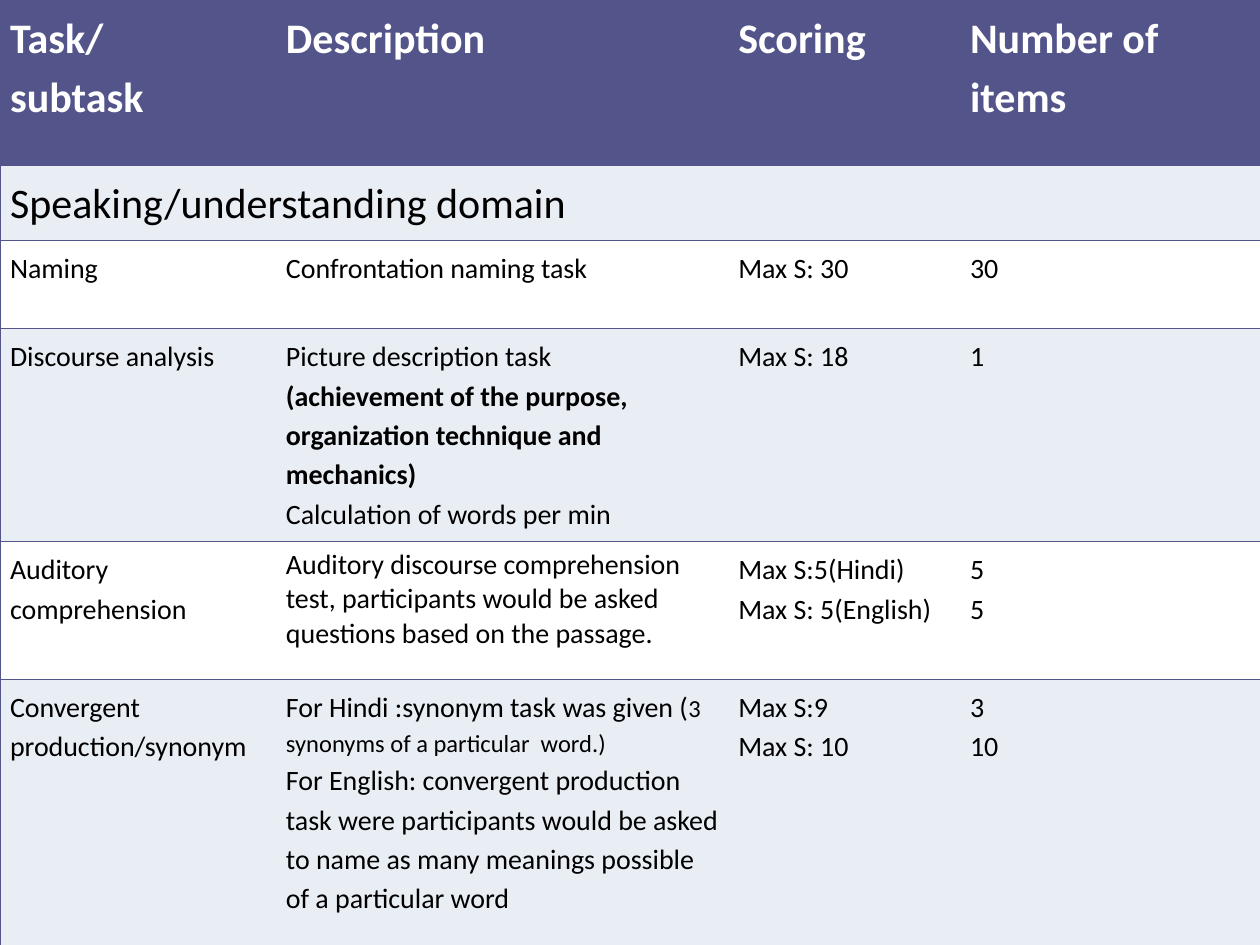
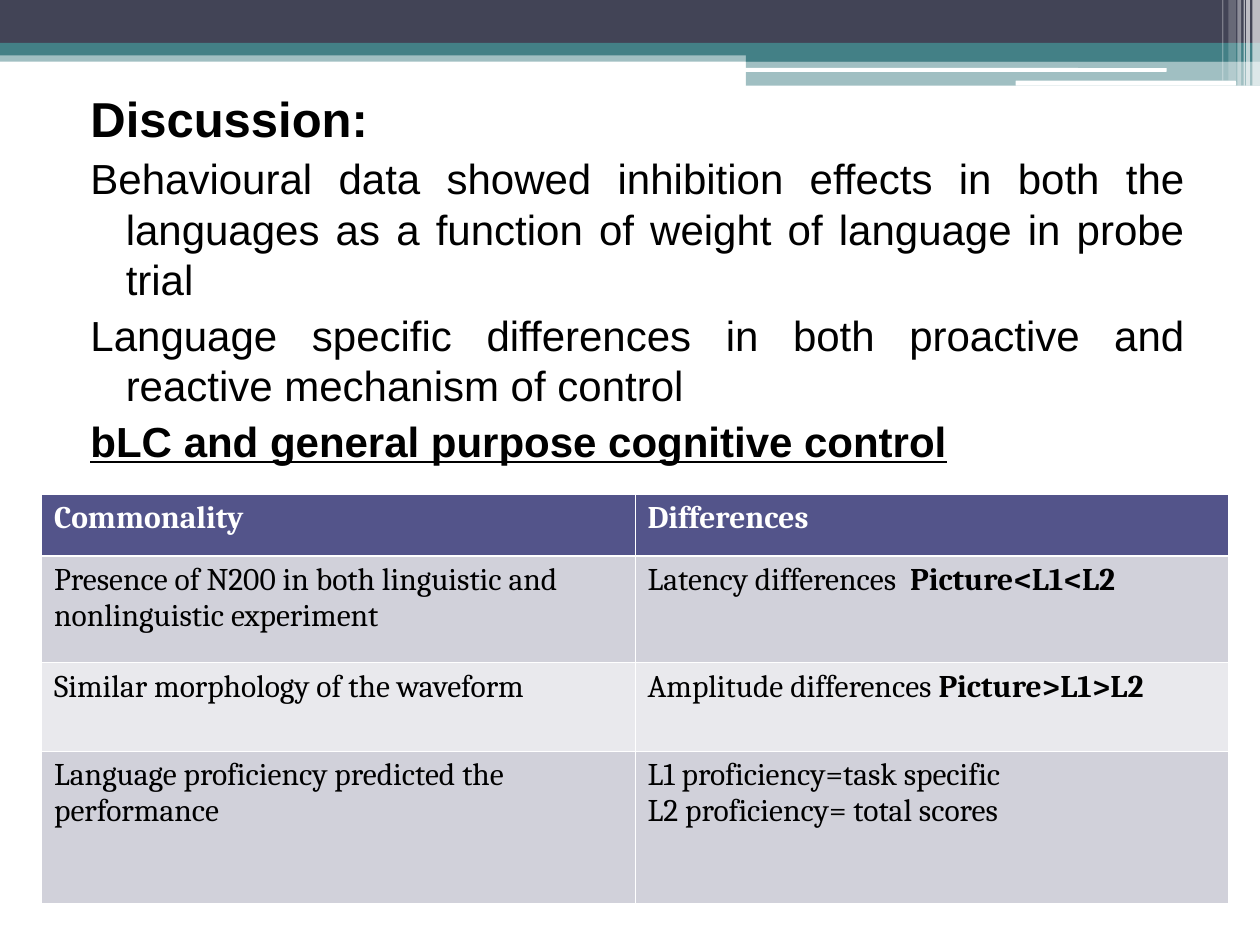
from lxml import etree
from pptx import Presentation
from pptx.dml.color import RGBColor
from pptx.enum.shapes import MSO_SHAPE
from pptx.enum.text import PP_ALIGN
from pptx.oxml.ns import qn
from pptx.util import Inches, Pt

INDIGO, SLATE, TEAL = "53548A", "424456", "438086"
WHITE, BLACK = "FFFFFF", "000000"
PALE_BLUE, GREY, PALE_GREY = "E9EDF4", "D1D1DA", "E9E9ED"
THIN, THICK = 0.45, 1.47
BOLD = {"bold": True}

# Each cell is a list of paragraphs; a paragraph is text or a list of
# (text, font changes) runs.
TASK_ROWS = [
    [["Task/", "subtask"], ["Description"], ["Scoring"], ["Number of items"]],
    [["Speaking/understanding domain"], [], [], []],
    [["Naming"], ["Confrontation naming task"], ["Max S: 30"], ["30"]],
    [["Discourse analysis"],
     ["Picture description task",
      [("(achievement of the purpose, organization technique and mechanics)", BOLD)],
      "Calculation of words per min"],
     ["Max S: 18"], ["1"]],
    [["Auditory comprehension"],
     ["Auditory discourse comprehension test, participants would be asked "
      "questions based on the passage."],
     ["Max S:5(Hindi)", "Max S: 5(English)"], ["5", "5"]],
    [["Convergent production/synonym"],
     [[("For Hindi :synonym task was given (", {}),
       ("3 synonyms of a particular  word.)", {"size": Pt(14)})],
      "For English: convergent production task were participants would be "
      "asked to name as many meanings possible of a particular word"],
     ["Max S:9", "Max S: 10"], ["3", "10"]],
]
COMPARISON_ROWS = [
    [["Commonality"], ["Differences"]],
    [["Presence of N200 in both linguistic and nonlinguistic experiment"],
     [[("Latency differences  ", {}), ("Picture<L1<L2", BOLD)]]],
    [["Similar morphology of the waveform"],
     [[("Amplitude differences ", {}), ("Picture>L1>L2", BOLD)]]],
    [["Language proficiency predicted the performance"],
     ["L1 proficiency=task specific", "L2 proficiency= total scores"]],
]
DISCUSSION = [
    ("Discussion:", 28, True, False),
    ("Behavioural data showed inhibition effects in both the languages as a "
     "function of weight of language in probe trial", 24, False, False),
    ("Language specific differences in both proactive and reactive mechanism "
     "of control", 24, False, False),
    ("bLC and general purpose cognitive control", 24, True, True),
]


def rgb(color):
    return RGBColor.from_string(color)


def set_font(font, name, size, color, bold=False):
    font.name, font.size, font.bold = name, Pt(size), bold
    font.color.rgb = rgb(color)


def add_block(slide, box, color, opacity=100, kind=MSO_SHAPE.RECTANGLE):
    shape = slide.shapes.add_shape(kind, *map(Inches, box))
    shape.shadow.inherit = False
    shape.line.fill.background()
    shape.fill.solid()
    shape.fill.fore_color.rgb = rgb(color)
    if opacity < 100:
        color_element = shape._element.spPr.find(f".//{qn('a:srgbClr')}")
        etree.SubElement(color_element, qn("a:alpha"), val=str(opacity * 1000))


def add_top_band(slide, width):
    add_block(slide, (0, 0.4, width, 0.09), TEAL, 50)
    add_block(slide, (0, 0, width, 0.34), SLATE)
    add_block(slide, (0, 0.34, width, 0.1), TEAL)
    tab_width = 4.08
    add_block(slide, (width - tab_width, 0.39, tab_width, 0.1), TEAL)
    add_block(slide, (width - tab_width, 0.48, tab_width, 0.2), TEAL, 50)
    for box in ((width - 4.09, 0.54, 3.35, 0.03), (width - 1.94, 0.64, 1.75, 0.04)):
        add_block(slide, box, WHITE, kind=MSO_SHAPE.ROUNDED_RECTANGLE)
    stripes = [(0.06, 0.06, 0.68, 65), (0.11, 0.03, 0.68, 65), (0.13, 0.01, 0.68, 60),
               (0.18, 0.03, 0.68, 40), (0.25, 0.06, 0.64, 20), (0.3, 0.01, 0.64, 30)]
    for from_right, stripe_width, height, opacity in stripes:
        add_block(slide, (width - from_right, 0, stripe_width, height), WHITE, opacity)


def add_banded_slide(presentation):
    slide = presentation.slides.add_slide(presentation.slide_layouts[6])
    add_top_band(slide, presentation.slide_width.inches)
    return slide


def set_borders(cell, color, widths):
    """Draw left, right, top and bottom borders; a width of 0 hides one."""
    properties = cell._tc.get_or_add_tcPr()
    for side, width in zip("LRTB", widths):
        line = etree.SubElement(properties, qn(f"a:ln{side}"), w=str(Pt(width)))
        if width:
            fill = etree.SubElement(line, qn("a:solidFill"))
            etree.SubElement(fill, qn("a:srgbClr"), val=color)
        else:
            etree.SubElement(line, qn("a:noFill"))


def fill_cell(cell, paragraphs, font, fill, side_inset, line_spacing):
    cell.fill.solid()
    cell.fill.fore_color.rgb = rgb(fill)
    cell.margin_left = cell.margin_right = Inches(side_inset)
    cell.margin_top = cell.margin_bottom = Inches(0.05)
    frame = cell.text_frame
    for index, content in enumerate(paragraphs):
        paragraph = frame.add_paragraph() if index else frame.paragraphs[0]
        paragraph.line_spacing = line_spacing
        set_font(paragraph.font, *font)
        runs = [(content, {})] if isinstance(content, str) else content
        for text, changes in runs:
            run = paragraph.add_run()
            run.text = text
            set_font(run.font, *font)
            for attribute, value in changes.items():
                setattr(run.font, attribute, value)


def add_grid(slide, left, top, column_widths, row_heights):
    frame = slide.shapes.add_table(
        len(row_heights), len(column_widths), Inches(left), Inches(top),
        Inches(sum(column_widths)), Inches(sum(row_heights)))
    table = frame.table
    for column, width in zip(table.columns, column_widths):
        column.width = Inches(width)
    for row, height in zip(table.rows, row_heights):
        row.height = Inches(height)
    return table


def add_task_table(slide, left, top):
    table = add_grid(slide, left, top, [2.19, 3.59, 1.84, 2.38],
                     [1.31, 0.6, 0.7, 1.69, 1.09, 2.11])
    last_column = len(table.columns) - 1
    for r, row in enumerate(TASK_ROWS):
        header = r == 0
        fill = INDIGO if header else PALE_BLUE if r % 2 else WHITE
        font = ("Calibri", 24 if r < 2 else 16, WHITE if header else BLACK, header)
        for c, paragraphs in enumerate(row):
            cell = table.cell(r, c)
            set_borders(cell, INDIGO, (THIN if c == 0 else 0,
                                       THIN if c == last_column else 0, THIN, THIN))
            spacing = 1.0 if (r, c) == (4, 1) else 1.15
            fill_cell(cell, paragraphs, font, fill, 0.08, spacing)
    table.cell(1, 0).merge(table.cell(1, 1))


def add_comparison_table(slide, left, top):
    table = add_grid(slide, left, top, [4.71, 4.71], [0.49, 0.85, 0.7, 1.21])
    for r, row in enumerate(COMPARISON_ROWS):
        header = r == 0
        fill = INDIGO if header else GREY if r % 2 else PALE_GREY
        font = ("Cambria", 18, WHITE if header else BLACK, header)
        for c, paragraphs in enumerate(row):
            cell = table.cell(r, c)
            set_borders(cell, WHITE, (THIN, THIN, THICK if r == 1 else THIN,
                                      THICK if header else THIN))
            fill_cell(cell, paragraphs, font, fill, 0.1, 1.0)


def add_discussion_text(slide, box):
    frame = slide.shapes.add_textbox(*map(Inches, box)).text_frame
    frame.word_wrap = True
    for index, (text, size, bold, underline) in enumerate(DISCUSSION):
        paragraph = frame.add_paragraph() if index else frame.paragraphs[0]
        paragraph.text = text
        paragraph.alignment = PP_ALIGN.JUSTIFY
        paragraph.line_spacing = 1.0 if index else 1.5
        paragraph.space_before = Pt(3 if index else 0)
        properties = paragraph._p.get_or_add_pPr()
        properties.set("marL", str(Inches(0.4)))
        properties.set("indent", str(Inches(-0.28)))
        set_font(paragraph.font, "Arial", size, BLACK, bold)
        paragraph.font.underline = underline


def main():
    presentation = Presentation()
    presentation.slide_width, presentation.slide_height = Inches(10), Inches(7.5)

    task_slide = add_banded_slide(presentation)
    add_task_table(task_slide, 0, 0)

    discussion_slide = add_banded_slide(presentation)
    add_discussion_text(discussion_slide, (0.5, 0.42, 9, 6.92))
    add_comparison_table(discussion_slide, 0.33, 3.92)

    presentation.save("out.pptx")


if __name__ == "__main__":
    main()
